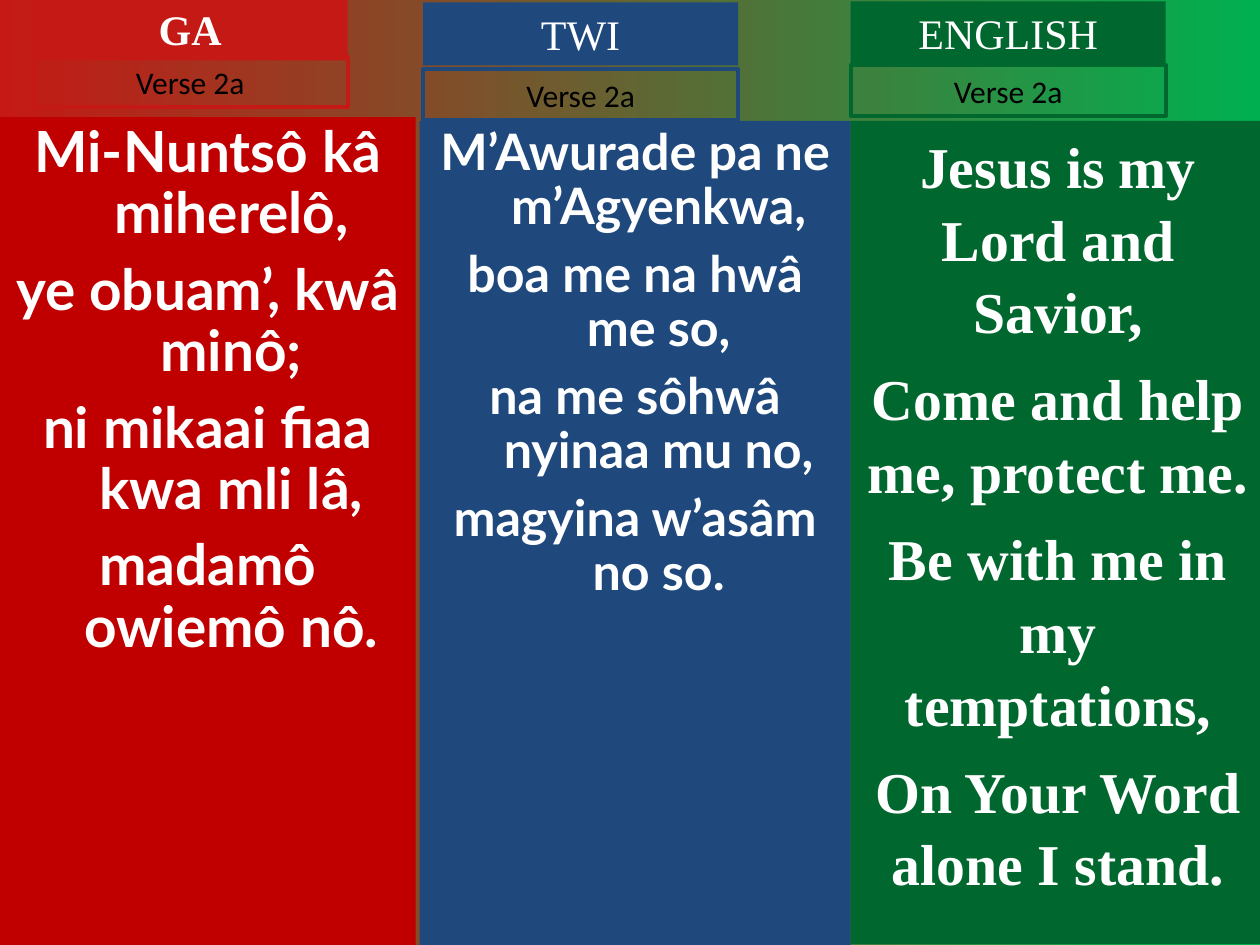
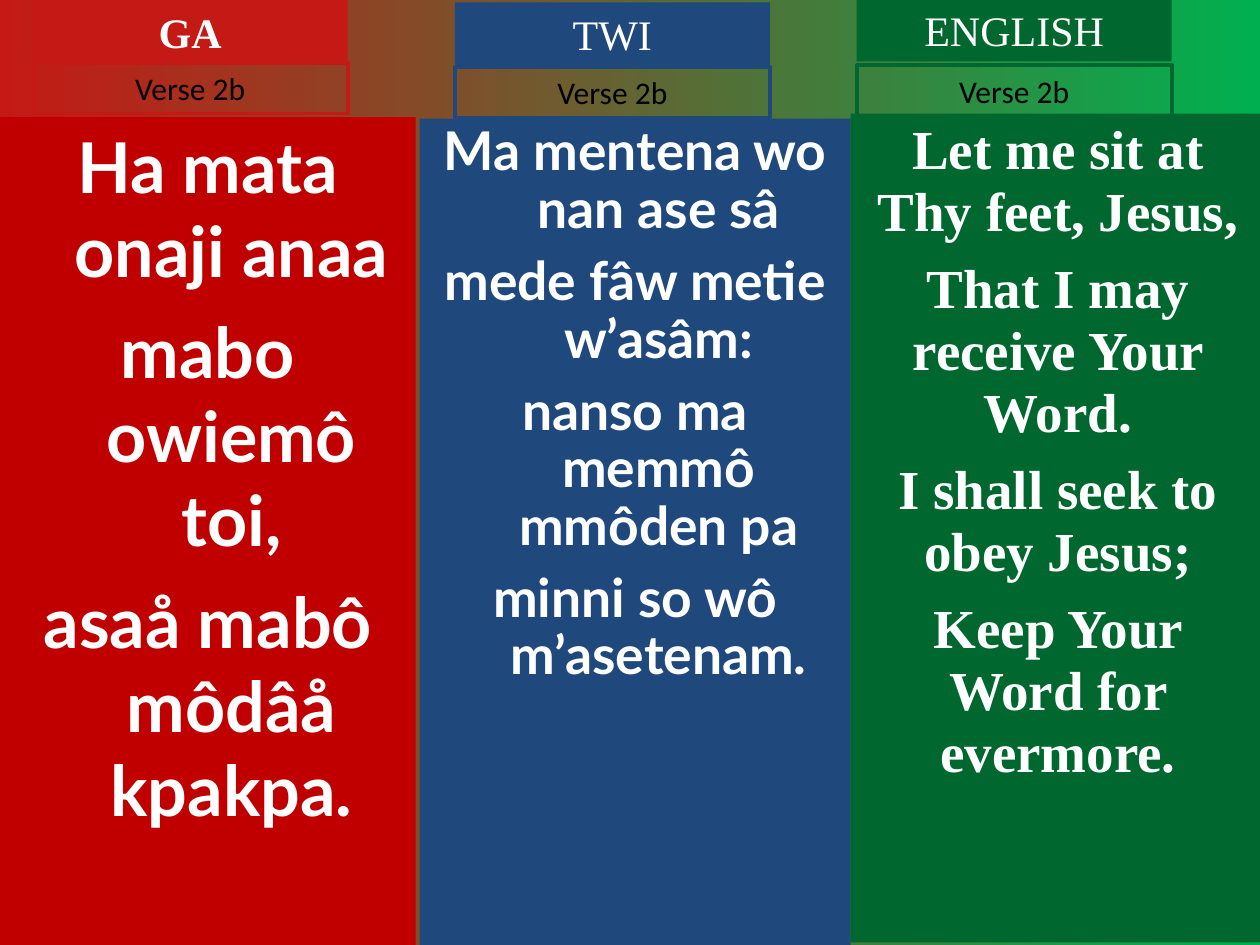
import pptx
import pptx.dml.color
import pptx.enum.shapes
import pptx.enum.text
import pptx.util

Cm = pptx.util.Cm
Pt = pptx.util.Pt

COLOURS = {
    "red": "C00000",
    "bright red": "C51915",
    "blue": "1F497D",
    "green": "00682F",
    "background end": "00B050",
    "white": "FFFFFF",
    "black": "000000",
}
HEADING = {"size": Pt(24), "name": "Times New Roman"}
VERSE_LABEL = {"size": Pt(18), "name": "Calibri"}
LABEL_WIDTH, HEADING_HEIGHT, VERSE_HEIGHT = 6.35, 1.27, 1.02
HANGING_INDENT = 0.95

LANGUAGES = {
    "GA": {"panel": "red", "label": "bright red", "font": "Lato", "hanging": True,
           "left": 0, "width": 8.38, "bold": True},
    "TWI": {"panel": "blue", "label": "blue", "font": "Lato", "hanging": True,
            "left": 8.46, "width": 8.69, "bold": False},
    "ENGLISH": {"panel": "green", "label": "green", "font": "Times New Roman", "hanging": False,
                "left": 17.15, "width": 8.36, "bold": False},
}

VERSES = {
    "Verse 2a": {
        "GA": {
            "panel": (2.36, 16.69), "label_left": 0.66, "tops": (-0.05, 1.14),
            "size": 32.4, "before": 8.8, "spacing": 0.9,
            "lines": ["Mi-Nuntsô kâ miherelô,", "ye obuam’, kwâ minô;",
                      "ni mikaai fiaa kwa mli lâ,", "madamô owiemô nô."],
        },
        "TWI": {
            "panel": (2.44, 16.61), "label_left": 8.53, "tops": (0.05, 1.4),
            "size": 28.7, "before": 7.7, "spacing": 0.9,
            "lines": ["M’Awurade pa ne m’Agyenkwa,", "boa me na hwâ me so,",
                      "na me sôhwâ nyinaa mu no,", "magyina w’asâm no so."],
        },
        "ENGLISH": {
            "panel": (2.44, 16.59), "label_left": 17.15, "tops": (0.03, 1.32),
            "size": 33, "before": 8.2, "spacing": 1.05,
            "lines": ["Jesus is my Lord and Savior,", "Come and help me, protect me.",
                      "Be with me in my temptations,", "On Your Word alone I stand."],
        },
    },
    "Verse 2b": {
        "GA": {
            "panel": (2.36, 16.69), "label_left": 0.66, "tops": (0, 1.27),
            "size": 40, "before": 10, "spacing": 1.0,
            "lines": ["Ha mata onaji anaa", "mabo owiemô toi,", "asaå mabô môdâå kpakpa."],
        },
        "TWI": {
            "panel": (2.39, 16.66), "label_left": 9.17, "tops": (0.05, 1.35),
            "size": 30.5, "before": 8.2, "spacing": 0.9,
            "lines": ["Ma mentena wo nan ase sâ", "mede fâw metie w’asâm:",
                      "nanso ma memmô mmôden pa", "minni so wô m’asetenam."],
        },
        "ENGLISH": {
            "panel": (2.29, 16.71), "label_left": 17.27, "tops": (-0.03, 1.32),
            "size": 31.4, "before": 8.5, "spacing": 0.94,
            "lines": ["Let me sit at Thy feet, Jesus,", "That I may receive Your Word.",
                      "I shall seek to obey Jesus;", "Keep Your Word for evermore."],
        },
    },
}


def colour(name):
    return pptx.dml.color.RGBColor.from_string(COLOURS[name])


def apply_format(target, values):
    for attribute, value in values.items():
        setattr(target, attribute, value)


class HymnDeck:
    def __init__(self):
        self.presentation = pptx.Presentation()
        apply_format(self.presentation, {"slide_width": Cm(25.4), "slide_height": Cm(19.05)})
        self.slide = None

    def add_slide(self):
        self.slide = self.presentation.slides.add_slide(self.presentation.slide_layouts[6])
        fill = self.slide.background.fill
        fill.gradient()
        fill.gradient_angle = 0
        for stop, position, name in zip(fill.gradient_stops, (0, 1), ("bright red", "background end")):
            stop.position = position
            stop.color.rgb = colour(name)

    def add_box(self, bounds, fill=None, line=None):
        shape = self.slide.shapes.add_shape(
            pptx.enum.shapes.MSO_SHAPE.RECTANGLE, *(Cm(length) for length in bounds))
        shape.shadow.inherit = False
        if fill:
            shape.fill.solid()
            shape.fill.fore_color.rgb = colour(fill)
        else:
            shape.fill.background()
        if line:
            shape.line.color.rgb = colour(line)
            shape.line.width = Pt(2.25)
        else:
            shape.line.fill.background()
        apply_format(shape.text_frame, {
            "word_wrap": True, "vertical_anchor": pptx.enum.text.MSO_ANCHOR.TOP})
        return shape

    def add_text(self, shape, lines, font, text_colour, paragraph_format=None, before=0):
        frame = shape.text_frame
        for index, line in enumerate(lines):
            paragraph = frame.add_paragraph() if index else frame.paragraphs[0]
            paragraph.alignment = pptx.enum.text.PP_ALIGN.CENTER
            apply_format(paragraph, paragraph_format or {})
            paragraph.space_before = Pt(before if index else 0)
            run = paragraph.add_run()
            run.text = line
            apply_format(run.font, font)
            run.font.color.rgb = colour(text_colour)

    def add_label(self, bounds, text, font, text_colour, fill=None, line=None):
        shape = self.add_box(bounds, fill, line)
        self.add_text(shape, [text], font, text_colour)
        shape.text_frame.auto_size = pptx.enum.text.MSO_AUTO_SIZE.SHAPE_TO_FIT_TEXT

    def add_panel(self, language, verse):
        top, height = verse["panel"]
        shape = self.add_box((language["left"], top, language["width"], height), language["panel"])
        font = {"size": Pt(verse["size"]), "name": language["font"], "bold": True}
        self.add_text(shape, verse["lines"], font, "white",
                      {"line_spacing": verse["spacing"]}, verse["before"])
        if language["hanging"]:
            for paragraph in shape.text_frame.paragraphs:
                properties = paragraph._p.get_or_add_pPr()
                properties.set("marL", str(Cm(HANGING_INDENT)))
                properties.set("indent", str(-Cm(HANGING_INDENT)))

    def add_column(self, name, verse_name, verse):
        language = LANGUAGES[name]
        heading_top, verse_top = verse["tops"]
        left = verse["label_left"]
        self.add_panel(language, verse)
        self.add_label((left, heading_top, LABEL_WIDTH, HEADING_HEIGHT), name,
                       {**HEADING, "bold": language["bold"]}, "white", fill=language["label"])
        self.add_label((left, verse_top, LABEL_WIDTH, VERSE_HEIGHT), verse_name,
                       VERSE_LABEL, "black", line=language["label"])


def main():
    deck = HymnDeck()
    for verse_name, columns in VERSES.items():
        deck.add_slide()
        for name, verse in columns.items():
            deck.add_column(name, verse_name, verse)
    deck.presentation.save("out.pptx")


if __name__ == "__main__":
    main()
